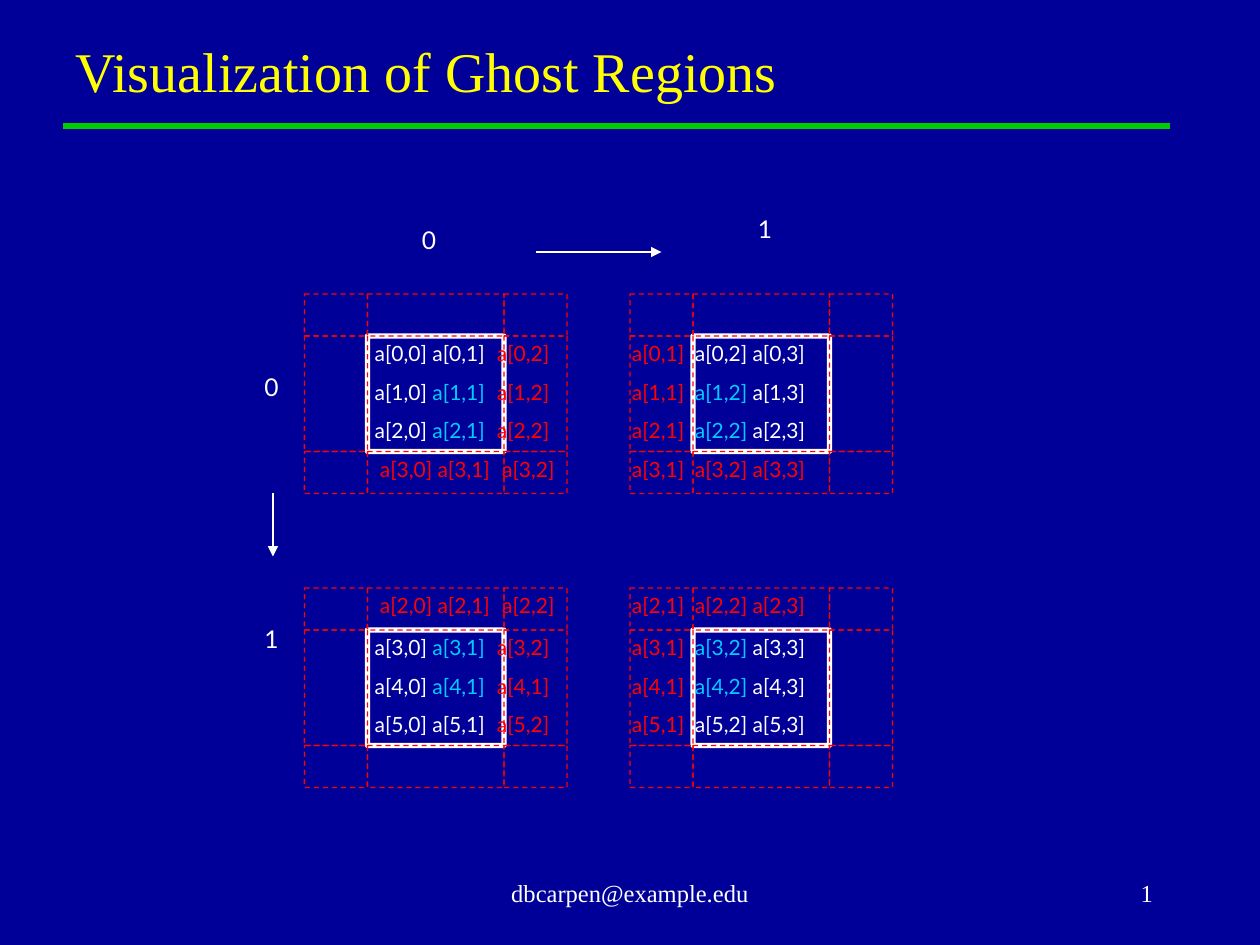
from itertools import product
from lxml.etree import SubElement
from pptx import Presentation
from pptx.dml.color import RGBColor
from pptx.enum.dml import MSO_LINE
from pptx.enum.shapes import MSO_CONNECTOR, MSO_SHAPE
from pptx.enum.text import MSO_ANCHOR, PP_ALIGN
from pptx.oxml.ns import qn
from pptx.util import Inches, Pt

NAVY = RGBColor(0x00, 0x00, 0x99)
YELLOW = RGBColor(0xFF, 0xFF, 0x00)
GREEN = RGBColor(0x00, 0xCC, 0x00)
WHITE = RGBColor(0xFF, 0xFF, 0xFF)
CYAN = RGBColor(0x00, 0xCC, 0xFF)
RED = RGBColor(0xFF, 0x00, 0x00)
CELL_COLORS = {"W": WHITE, "C": CYAN, "R": RED}
SERIF, SANS = "Times New Roman", "Lato"

TITLE = "Visualization of Ghost Regions"
EMAIL = "dbcarpen@example.edu"
PAGE = "1"
AXIS_LABELS = [("0", 39, 21), ("1", 71, 20), ("0", 24, 35), ("1", 24, 59)]
ARROWS = [(26, 47, 26, 53), (51, 24, 63, 24)]

BLOCKS = {
    (0, 0): [("a[0,0] a[0,1] a[0,2]", "WWR"),
             ("a[1,0] a[1,1] a[1,2]", "WCR"),
             ("a[2,0] a[2,1] a[2,2]", "WCR")],
    (0, 1): [("a[0,1] a[0,2] a[0,3]", "RWW"),
             ("a[1,1] a[1,2] a[1,3]", "RCW"),
             ("a[2,1] a[2,2] a[2,3]", "RCW")],
    (1, 0): [("a[3,0] a[3,1] a[3,2]", "WCR"),
             ("a[4,0] a[4,1] a[4,1]", "WCR"),
             ("a[5,0] a[5,1] a[5,2]", "WWR")],
    (1, 1): [("a[3,1] a[3,2] a[3,3]", "RCW"),
             ("a[4,1] a[4,2] a[4,3]", "RCW"),
             ("a[5,1] a[5,2] a[5,3]", "RWW")],
}
GHOST_ROWS = {
    (0, 0): [("a[3,0] a[3,1] a[3,2]", "RRR")],
    (0, 1): [("a[3,1] a[3,2] a[3,3]", "RRR")],
    (1, 0): [("a[2,0] a[2,1] a[2,2]", "RRR")],
    (1, 1): [("a[2,1] a[2,2] a[2,3]", "RRR")],
}

UNIT = Inches(1) // 12
BLOCK_LEFTS, BLOCK_TOPS = (29, 60), (28, 56)
COLS = ((0, 6), (6, 13), (19, 6))
ROWS = ((0, 4), (4, 11), (15, 4))
CELL_TEXT_LEFTS = (34.5, 59)
GHOST_TEXT_LEFTS = (35, 59)
GHOST_TEXT_TOPS = (43, 56)
WIDE_GAP_AFTER = (1, 0)
TAB_STOPS = (0.97, 0.5)

prs = Presentation()
prs.slide_width, prs.slide_height = Inches(10), Inches(7.5)
slide = prs.slides.add_slide(prs.slide_layouts[6])
slide.background.fill.solid()
slide.background.fill.fore_color.rgb = NAVY


def units(*values):
    return [round(v * UNIT) for v in values]


def add_run(p, text, size, font, color):
    r = p.add_run()
    r.text = text
    r.font.size, r.font.name = Pt(size), font
    r.font.color.rgb = color


def add_box(x, y, w, h, wrap=True):
    tf = slide.shapes.add_textbox(*units(x, y, w, h)).text_frame
    tf.word_wrap = wrap
    return tf


def add_label(text, box, size, font, color, align=PP_ALIGN.LEFT,
              anchor=MSO_ANCHOR.TOP, spacing=None):
    tf = add_box(*box, wrap=False)
    tf.vertical_anchor = anchor
    p = tf.paragraphs[0]
    p.alignment, p.line_spacing = align, spacing
    add_run(p, text, size, font, color)


def add_cells(rows, col, x, y, h, space_before):
    tf = add_box(x, y, 21, h)
    for i, (cells, colors) in enumerate(rows):
        p = tf.add_paragraph() if i else tf.paragraphs[0]
        p.line_spacing = 1.0 if i else 0.96
        p.space_before = Pt(space_before)
        tabs = SubElement(p._p.get_or_add_pPr(), qn("a:tabLst"))
        SubElement(tabs, qn("a:tab"), pos=str(Inches(TAB_STOPS[col])), algn="l")
        for k, (cell, key) in enumerate(zip(cells.split(), colors)):
            gap = "" if k == 2 else "\t" if k == WIDE_GAP_AFTER[col] else " "
            add_run(p, cell + gap, 12, SANS, CELL_COLORS[key])


def add_frame(x, y, w, h, color, width, dash=None):
    sp = slide.shapes.add_shape(MSO_SHAPE.ROUNDED_RECTANGLE, *units(x, y, w, h))
    sp.adjustments[0] = 0.003
    sp.shadow.inherit = False
    sp.fill.background()
    sp.line.color.rgb, sp.line.width = color, Pt(width)
    if dash:
        sp.line.dash_style = dash


def add_line(x1, y1, x2, y2, color, width, arrow=False):
    line = slide.shapes.add_connector(MSO_CONNECTOR.STRAIGHT,
                                      *units(x1, y1, x2, y2))
    line.line.color.rgb, line.line.width = color, Pt(width)
    if arrow:
        SubElement(line.line._get_or_add_ln(), qn("a:tailEnd"), type="triangle")
    SubElement(line._element.spPr, qn("a:effectLst"))


add_label(EMAIL, (41, 82, 38, 6), 14, SERIF, WHITE, PP_ALIGN.CENTER, MSO_ANCHOR.MIDDLE)
add_label(PAGE, (86, 82, 25, 6), 14, SERIF, WHITE, PP_ALIGN.RIGHT, MSO_ANCHOR.MIDDLE)
add_line(6, 12, 111.4, 12, GREEN, 4)
add_label(TITLE, (6, 0, 102, 10.5), 32, SERIF, YELLOW, anchor=MSO_ANCHOR.BOTTOM)

for (row, col), cells in BLOCKS.items():
    left, top = BLOCK_LEFTS[col], BLOCK_TOPS[row]
    add_frame(left + COLS[1][0], top + ROWS[1][0], COLS[1][1], ROWS[1][1], WHITE, 3)
    add_cells(cells, col, CELL_TEXT_LEFTS[col], top + ROWS[1][0], 11, 7.4)
    add_cells(GHOST_ROWS[row, col], col, GHOST_TEXT_LEFTS[col],
              GHOST_TEXT_TOPS[row], 3.6, 0)
    for (dx, w), (dy, h) in product(COLS, ROWS):
        if (dx, dy) != (COLS[1][0], ROWS[1][0]):
            add_frame(left + dx, top + dy, w, h, RED, 0.75, MSO_LINE.DASH)

for ends in ARROWS:
    add_line(*ends, WHITE, 0.75, arrow=True)
for text, x, y in AXIS_LABELS:
    add_label(text, (x, y, 3.7, 4), 14, SANS, WHITE, spacing=0.96)

prs.save("out.pptx")
